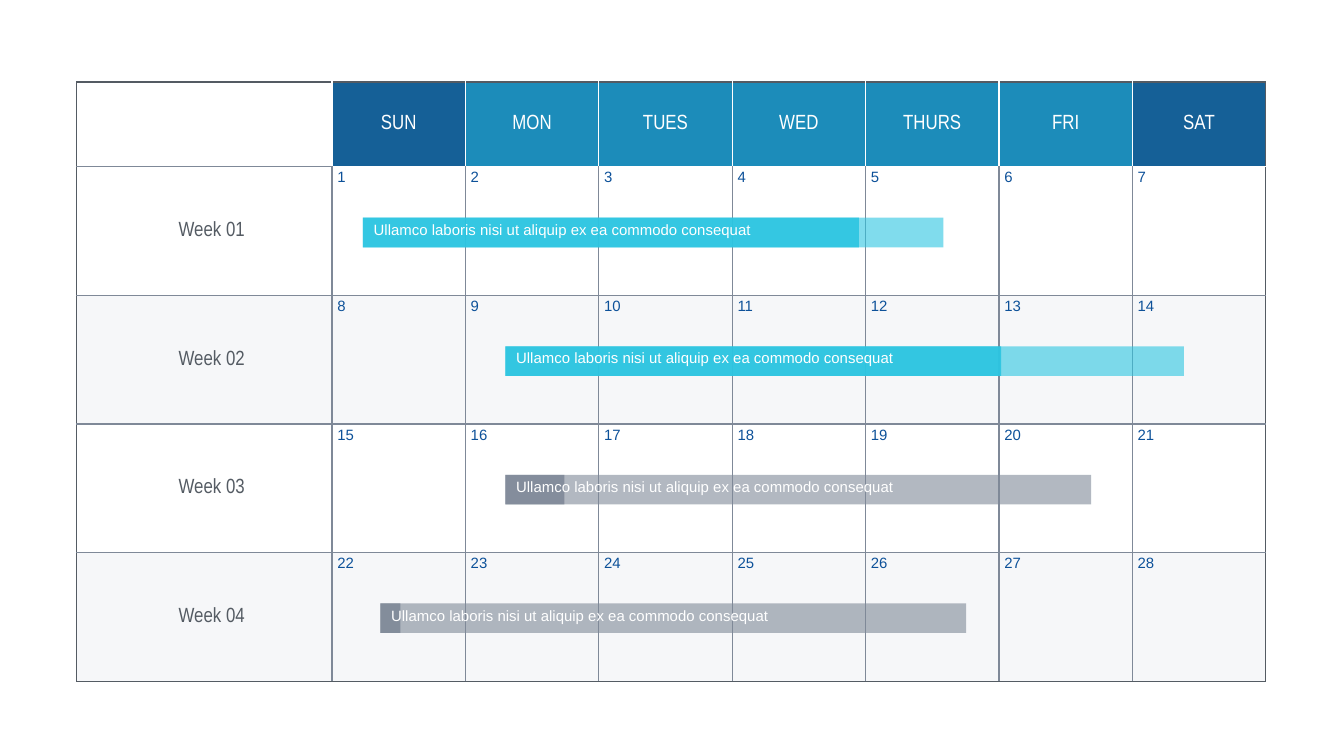
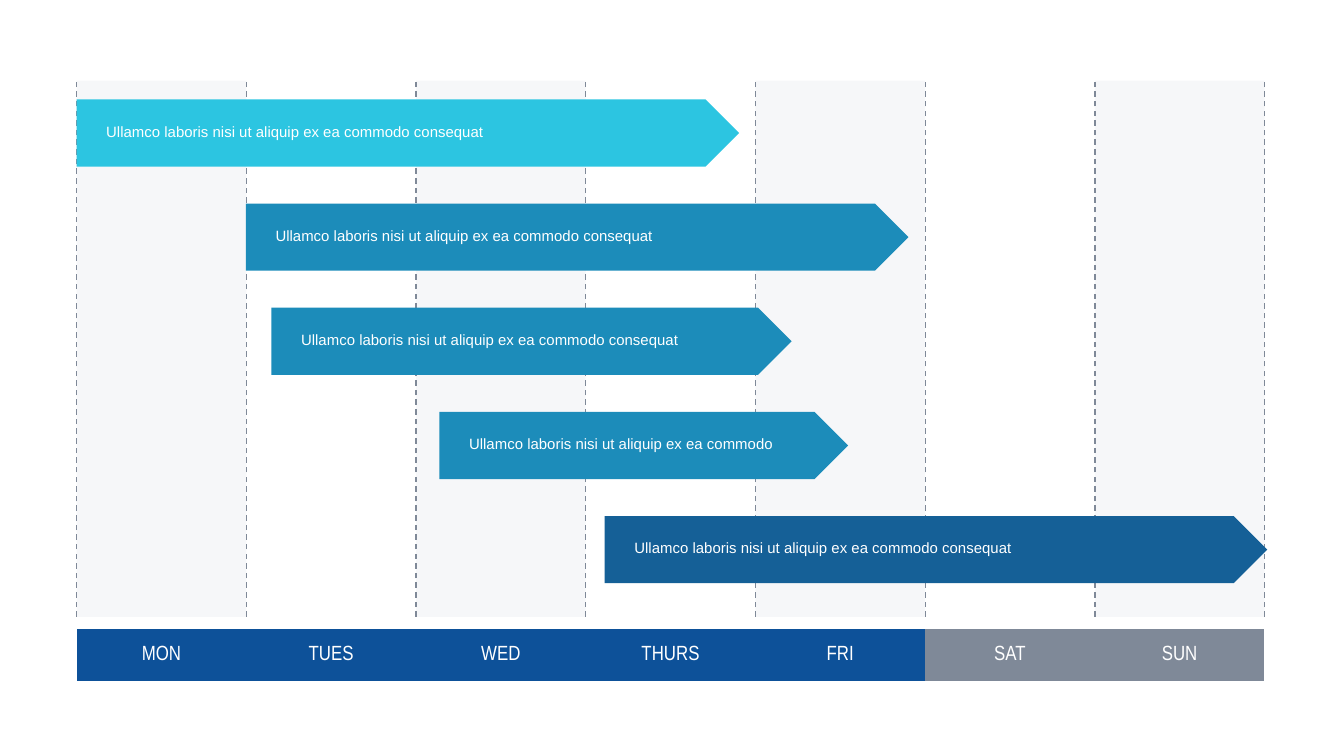
from lxml.etree import SubElement
from pptx import Presentation
from pptx.dml.color import RGBColor
from pptx.enum.dml import MSO_LINE
from pptx.enum.shapes import MSO_CONNECTOR as Connector, MSO_SHAPE as Shape
from pptx.enum.text import MSO_ANCHOR as Anchor, PP_ALIGN as Align
from pptx.oxml.ns import qn
from pptx.util import Inches, Pt

# Shared style
SLIDE_WIDTH = 10
SLIDE_HEIGHT = SLIDE_WIDTH * 9 / 16
WHITE, PALE, GREY, DARK = "FFFFFF", "EEF0F4", "7F8998", "545B63"
NAVY, DEEP, BLUE, CYAN = "0D5199", "156097", "1C8CBA", "2CC5E1"
LABEL = {"name": "Arial Narrow", "size": Pt(11)}
SMALL = {"name": "Arial", "size": Pt(8)}
INSETS = {"margin_left": 0.04, "margin_top": 0.02,
          "margin_right": 0.04, "margin_bottom": 0.02}
LINE_WIDTH = 0.75
PLAIN_TABLE = "{2D5ABB26-0587-4C30-8999-92F81FD0307C}"
LEFT = 0.57

# Slide 1: month calendar
TASK = "Ullamco laboris nisi ut aliquip ex ea commodo consequat"
CALENDAR_DAYS = ["SUN", "MON", "TUES", "WED", "THURS", "FRI", "SAT"]
WEEKS = ["Week 01", "Week 02", "Week 03", "Week 04"]
# left, full width, finished width, colour
PROGRESS = [
    (2.70, 4.32, 3.69, CYAN),
    (3.76, 5.05, 3.69, CYAN),
    (3.76, 4.36, 0.44, GREY),
    (2.83, 4.36, 0.15, GREY),
]
CALENDAR_TOP, CALENDAR_WIDTH, CALENDAR_HEIGHT = 0.61, 8.85, 4.46
WEEK_COLUMN, HEADER_HEIGHT = 1.9, 0.63
FIRST_BAR, LAST_BAR = 1.62, 4.49

# Slide 2: week timeline
TIMELINE_DAYS = ["MON", "TUES", "WED", "THURS", "FRI", "SAT", "SUN"]
# left, width, colour, wording
ARROWS = [
    (0.57, 4.93, CYAN, TASK),
    (1.83, 4.93, BLUE, TASK),
    (2.02, 3.87, BLUE, TASK),
    (3.27, 3.04, BLUE, "Ullamco laboris nisi ut aliquip ex ea commodo"),
    (4.50, 4.93, DEEP, TASK),
]
TIMELINE_WIDTH, TIMELINE_TOP, TIMELINE_BOTTOM = 8.84, 0.6, 4.59
FIRST_ARROW, LAST_ARROW = 0.74, 3.84


def rgb(color):
    return RGBColor.from_string(color)


def set_all(target, values):
    for name, value in values.items():
        setattr(target, name, value)


def spread(first, last, count):
    step = (last - first) / (count - 1)
    return [first + index * step for index in range(count)]


def paint(fill, color, opacity=100):
    fill.solid()
    fill.fore_color.rgb = rgb(color)
    if opacity < 100:
        # The colour element takes the transparency
        element = fill._xPr.find(".//" + qn("a:srgbClr"))
        SubElement(element, qn("a:alpha"), val=str(opacity * 1000))


def write(frame, text, style, color, align=Align.LEFT):
    para = frame.paragraphs[0]
    para.alignment = align
    span = para.add_run()
    span.text = text
    set_all(span.font, style)
    span.font.color.rgb = rgb(color)


def add_block(shapes, kind, left, top, width, height, color, opacity=100):
    block = shapes.add_shape(kind, *map(Inches, (left, top, width, height)))
    block.shadow.inherit = False
    block.line.fill.background()
    paint(block.fill, color, opacity)
    return block


def add_caption(shapes, left, top, text):
    box = shapes.add_textbox(*map(Inches, (left, top, 3.11, 0.18)))
    frame = box.text_frame
    frame.word_wrap = True
    set_all(frame, {name: Inches(gap) for name, gap in INSETS.items()})
    write(frame, text, SMALL, WHITE)


def add_grid(page, left, top, widths, heights):
    frame = page.shapes.add_table(
        len(heights), len(widths),
        *map(Inches, (left, top, sum(widths), sum(heights))))
    table = frame.table
    table.first_row = table.horz_banding = False
    table._tbl.tblPr.find(qn("a:tableStyleId")).text = PLAIN_TABLE
    for column, width in zip(table.columns, widths):
        column.width = Inches(width)
    for row, height in zip(table.rows, heights):
        row.height = Inches(height)
    return table


def fill_cell(cell, text, style, color, centred=True, indent=0.04):
    set_all(cell, {name: Inches(gap) for name, gap in INSETS.items()})
    cell.margin_left = Inches(indent)
    cell.vertical_anchor = Anchor.MIDDLE if centred else Anchor.TOP
    write(cell.text_frame, text, style, color,
          Align.CENTER if centred else Align.LEFT)


def set_borders(cell, colors):
    """Colours come in the order left, right, top, bottom."""
    properties = cell._tc.get_or_add_tcPr()
    for index, (side, color) in enumerate(zip("LRTB", colors)):
        line = SubElement(properties, qn("a:ln" + side),
                          w=str(Pt(LINE_WIDTH)))
        solid = SubElement(line, qn("a:solidFill"))
        SubElement(solid, qn("a:srgbClr"), val=color)
        properties.insert(index, line)


def calendar_borders(row, column):
    def upright(edge):
        if edge in (0, len(CALENDAR_DAYS) + 1):
            return DARK
        return WHITE if row == 0 else GREY

    def level(edge):
        if edge in (0, len(WEEKS) + 1):
            return DARK
        return WHITE if edge == 1 and column > 0 else GREY

    return upright(column), upright(column + 1), level(row), level(row + 1)


def build_calendar(page):
    day_count = len(CALENDAR_DAYS)
    day_width = (CALENDAR_WIDTH - WEEK_COLUMN) / day_count
    week_height = (CALENDAR_HEIGHT - HEADER_HEIGHT) / len(WEEKS)
    table = add_grid(page, LEFT, CALENDAR_TOP,
                     [WEEK_COLUMN] + [day_width] * day_count,
                     [HEADER_HEIGHT] + [week_height] * len(WEEKS))

    # Header, week names and dates
    for column, day in enumerate(CALENDAR_DAYS, 1):
        cell = table.cell(0, column)
        fill_cell(cell, day, LABEL, WHITE)
        paint(cell.fill, DEEP if column in (1, day_count) else BLUE)
    for row, week in enumerate(WEEKS, 1):
        fill_cell(table.cell(row, 0), week, LABEL, DARK, indent=0.15)
        for column in range(1, day_count + 1):
            date = (row - 1) * day_count + column
            fill_cell(table.cell(row, column), str(date), SMALL, NAVY,
                      centred=False)

    # Row shading and borders
    for row in range(len(WEEKS) + 1):
        for column in range(day_count + 1):
            cell = table.cell(row, column)
            if row and row % 2 == 0:
                paint(cell.fill, PALE, 50)
            elif row or column == 0:
                cell.fill.background()
            set_borders(cell, calendar_borders(row, column))

    # Progress bars
    tops = spread(FIRST_BAR, LAST_BAR, len(PROGRESS))
    for top, (left, full, done, color) in zip(tops, PROGRESS):
        shapes = page.shapes.add_group_shape().shapes
        for width, opacity in ((full, 60), (done, 90)):
            add_block(shapes, Shape.RECTANGLE, left, top, width, 0.22,
                      color, opacity)
        add_caption(shapes, left + 0.04, top, TASK)


def build_timeline(page):
    day_count = len(TIMELINE_DAYS)
    day_width = TIMELINE_WIDTH / day_count
    edges = [LEFT + index * day_width for index in range(day_count + 1)]

    # Shaded columns
    for left in edges[:-1:2]:
        add_block(page.shapes, Shape.RECTANGLE, left, TIMELINE_TOP, day_width,
                  TIMELINE_BOTTOM - TIMELINE_TOP, PALE, 50)

    # Day names
    table = add_grid(page, LEFT, 4.68, [day_width] * day_count, [0.39])
    for column, day in enumerate(TIMELINE_DAYS):
        cell = table.cell(0, column)
        fill_cell(cell, day, LABEL, WHITE)
        paint(cell.fill, GREY if day in ("SAT", "SUN") else NAVY)

    # Dashed day lines
    for x in edges:
        divider = page.shapes.add_connector(
            Connector.STRAIGHT,
            *map(Inches, (x, TIMELINE_BOTTOM, x, TIMELINE_TOP)))
        divider.line.color.rgb = rgb(GREY)
        set_all(divider.line, {"width": Pt(LINE_WIDTH),
                               "dash_style": MSO_LINE.DASH})
        SubElement(divider._element.spPr, qn("a:effectLst"))

    # Task arrows
    tops = spread(FIRST_ARROW, LAST_ARROW, len(ARROWS))
    for top, (left, width, color, text) in zip(tops, ARROWS):
        shapes = page.shapes.add_group_shape().shapes
        arrow = add_block(shapes, Shape.PENTAGON, left, top, width, 0.5, color)
        arrow.adjustments[0] = 0.5
        add_caption(shapes, left + 0.18, top + 0.15, text)


def main():
    deck = Presentation()
    deck.slide_width = Inches(SLIDE_WIDTH)
    deck.slide_height = Inches(SLIDE_HEIGHT)
    for build in (build_calendar, build_timeline):
        build(deck.slides.add_slide(deck.slide_layouts[6]))
    deck.save("out.pptx")


if __name__ == "__main__":
    main()
